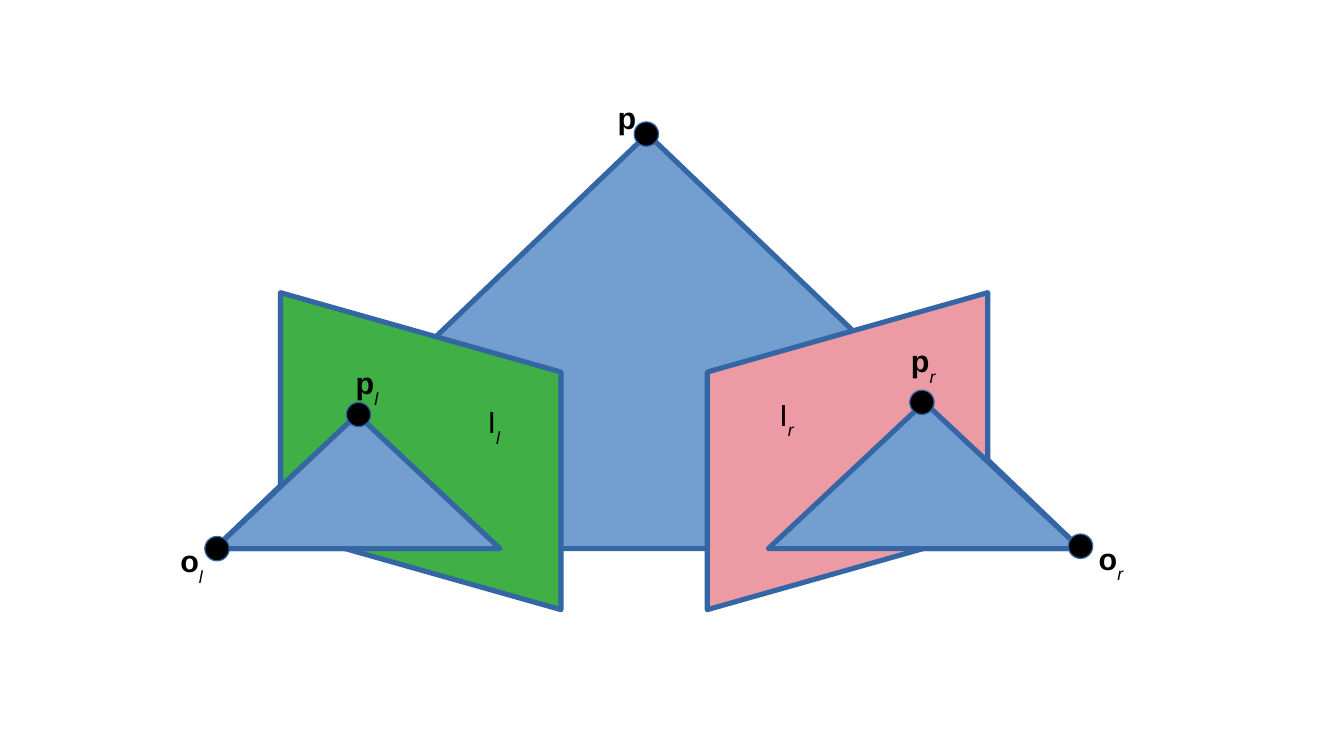
"""Draw the epipolar geometry of a left and a right image plane."""
from dataclasses import dataclass

from lxml import etree
from pptx import Presentation
from pptx.dml.color import RGBColor
from pptx.enum.shapes import MSO_SHAPE
from pptx.enum.text import MSO_AUTO_SIZE, PP_ALIGN
from pptx.oxml.ns import qn
from pptx.shapes.autoshape import Shape
from pptx.slide import Slide
from pptx.util import Emu, Pt

TRIANGLE = MSO_SHAPE.ISOSCELES_TRIANGLE
PARALLELOGRAM = MSO_SHAPE.PARALLELOGRAM
ELLIPSE = MSO_SHAPE.OVAL
LEFT, CENTER = PP_ALIGN.LEFT, PP_ALIGN.CENTER
FIT_TEXT = MSO_AUTO_SIZE.SHAPE_TO_FIT_TEXT

EMU_PER_PX = 9144
BLANK_LAYOUT = 6
DOT_SIZE = 20
PLANE_WIDTH, PLANE_HEIGHT, PLANE_TOP = 260, 230, 255
PLANE_SLANT = 0.283


@dataclass(frozen=True)
class Theme:
    """Colours and type sizes of the slide."""
    ink: RGBColor = RGBColor(0x00, 0x00, 0x00)
    outline: RGBColor = RGBColor(0x34, 0x65, 0xA4)
    epipolar: RGBColor = RGBColor(0x72, 0x9F, 0xCF)
    left_plane: RGBColor = RGBColor(0x3F, 0xAF, 0x46)
    right_plane: RGBColor = RGBColor(0xEC, 0x9B, 0xA4)
    font: str = "Arial"
    label_size: int = 18
    outline_width: int = 3


THEME = Theme()


@dataclass(frozen=True)
class Triangle:
    """A triangle of the epipolar plane."""
    left: int
    top: int
    width: int
    height: int


@dataclass(frozen=True)
class ImagePlane:
    """A slanted image plane, mirrored for the right camera."""
    left: int
    fill: RGBColor
    rotation: int
    mirrored: bool


@dataclass(frozen=True)
class Dot:
    """A marked point, by its left top corner."""
    left: int
    top: int


@dataclass(frozen=True)
class Label:
    """A symbol with an optional subscript."""
    symbol: str
    subscript: str
    left: int
    top: int
    width: int = 50
    height: int = 44
    bold: bool = True
    align: PP_ALIGN = CENTER


SCENE_TRIANGLE = Triangle(176, 110, 710, 340)
VIEW_TRIANGLES = (Triangle(176, 340, 234, 110), Triangle(630, 330, 256, 120))
IMAGE_PLANES = (
    ImagePlane(215, THEME.left_plane, 270, False),
    ImagePlane(565, THEME.right_plane, 90, True),
)
DOTS = (Dot(520, 100), Dot(284, 330), Dot(168, 440), Dot(746, 320), Dot(876, 438))
LABELS = (
    Label("p", "", 494, 76, width=40, height=38),
    Label("o", "l", 138, 440, align=LEFT),
    Label("p", "l", 276, 294),
    Label("o", "r", 886, 438),
    Label("p", "r", 732, 276),
    Label("I", "l", 380, 326, bold=False),
    Label("I", "r", 620, 320, bold=False),
)


def px(length: int) -> Emu:
    """Turn px into EMU."""
    return Emu(length * EMU_PER_PX)


def add_outlined(slide: Slide, kind: MSO_SHAPE, box: tuple[int, int, int, int],
                 fill: RGBColor, line_width: int) -> Shape:
    """Add a filled preset shape with a round-joined outline."""
    shape = slide.shapes.add_shape(kind, *map(px, box))
    shape.shadow.inherit = False
    shape.fill.solid()
    shape.fill.fore_color.rgb = fill
    shape.line.color.rgb = THEME.outline
    shape.line.width = Pt(line_width)
    etree.SubElement(shape.line._get_or_add_ln(), qn("a:round"))
    return shape


def add_triangle(slide: Slide, triangle: Triangle) -> None:
    """Add one epipolar triangle."""
    box = (triangle.left, triangle.top, triangle.width, triangle.height)
    add_outlined(slide, TRIANGLE, box, THEME.epipolar, THEME.outline_width)


def add_plane(slide: Slide, plane: ImagePlane) -> None:
    """Add one image plane as a turned parallelogram."""
    box = (plane.left, PLANE_TOP, PLANE_WIDTH, PLANE_HEIGHT)
    shape = add_outlined(slide, PARALLELOGRAM, box, plane.fill, THEME.outline_width)
    shape.adjustments[0] = PLANE_SLANT
    shape.rotation = plane.rotation
    if plane.mirrored:
        shape._element.spPr.find(qn("a:xfrm")).set("flipH", "1")


def add_dot(slide: Slide, dot: Dot) -> None:
    """Add one marked point with a hairline outline."""
    add_outlined(slide, ELLIPSE, (dot.left, dot.top, DOT_SIZE, DOT_SIZE), THEME.ink, 0)


def add_label(slide: Slide, label: Label) -> None:
    """Add a symbol and its italic subscript."""
    frame = slide.shapes.add_textbox(
        px(label.left), px(label.top), px(label.width), px(label.height)).text_frame
    frame.word_wrap = True
    frame.auto_size = FIT_TEXT
    paragraph = frame.paragraphs[0]
    paragraph.alignment = label.align
    for text, is_subscript in ((label.symbol, False), (label.subscript, True)):
        if not text:
            continue
        run = paragraph.add_run()
        run.text = text
        run.font.name = THEME.font
        run.font.size = Pt(THEME.label_size)
        run.font.color.rgb = THEME.ink
        run.font.bold = label.bold and not is_subscript
        run.font.italic = is_subscript
        if is_subscript:
            run.font._element.set("baseline", "-33000")


def main() -> None:
    """Build and save the slide."""
    presentation = Presentation()
    presentation.slide_width, presentation.slide_height = px(1102), px(620)
    slide = presentation.slides.add_slide(presentation.slide_layouts[BLANK_LAYOUT])
    add_triangle(slide, SCENE_TRIANGLE)
    for plane in IMAGE_PLANES:
        add_plane(slide, plane)
    for triangle in VIEW_TRIANGLES:
        add_triangle(slide, triangle)
    for dot in DOTS:
        add_dot(slide, dot)
    for label in LABELS:
        add_label(slide, label)
    presentation.save("out.pptx")


if __name__ == "__main__":
    main()
